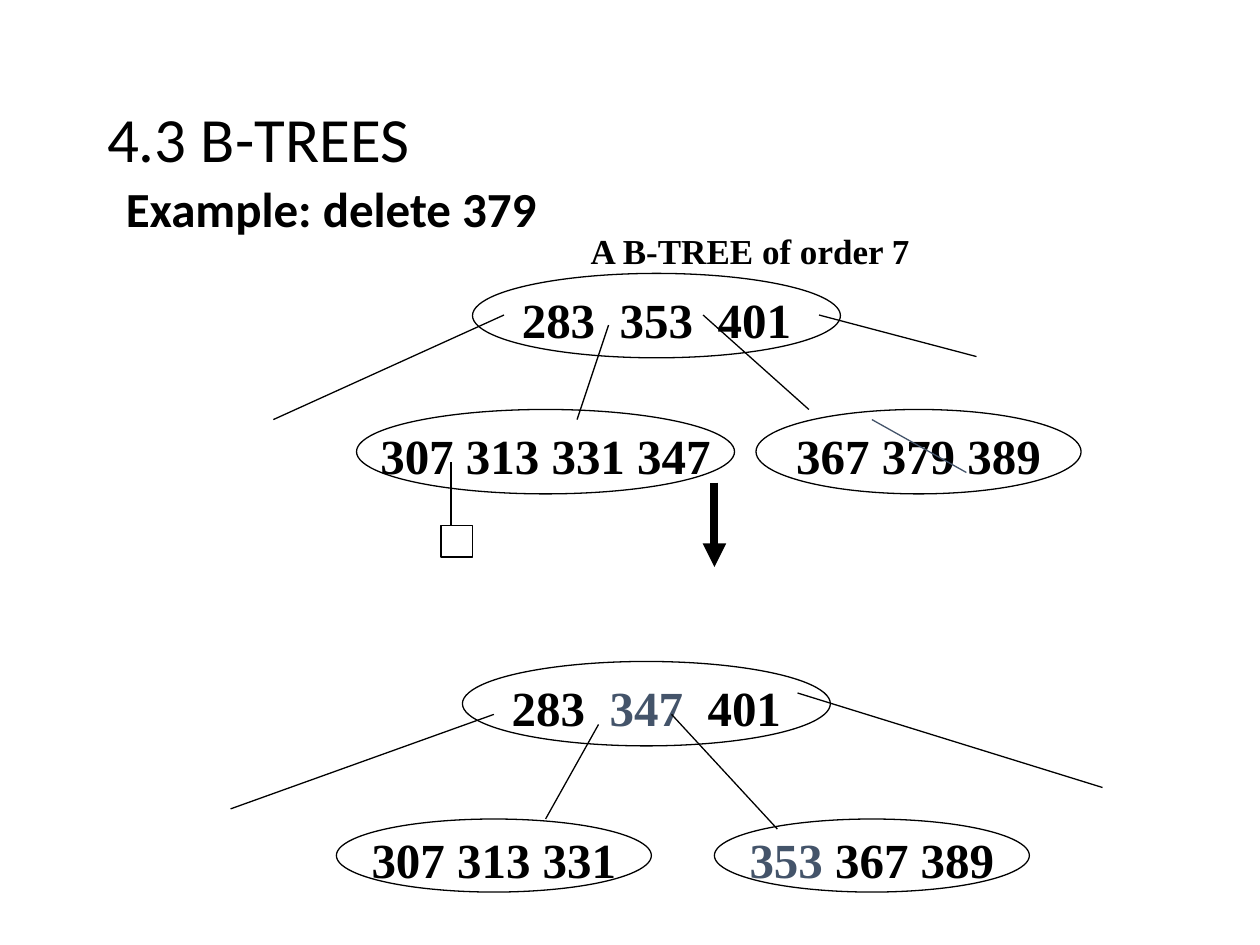
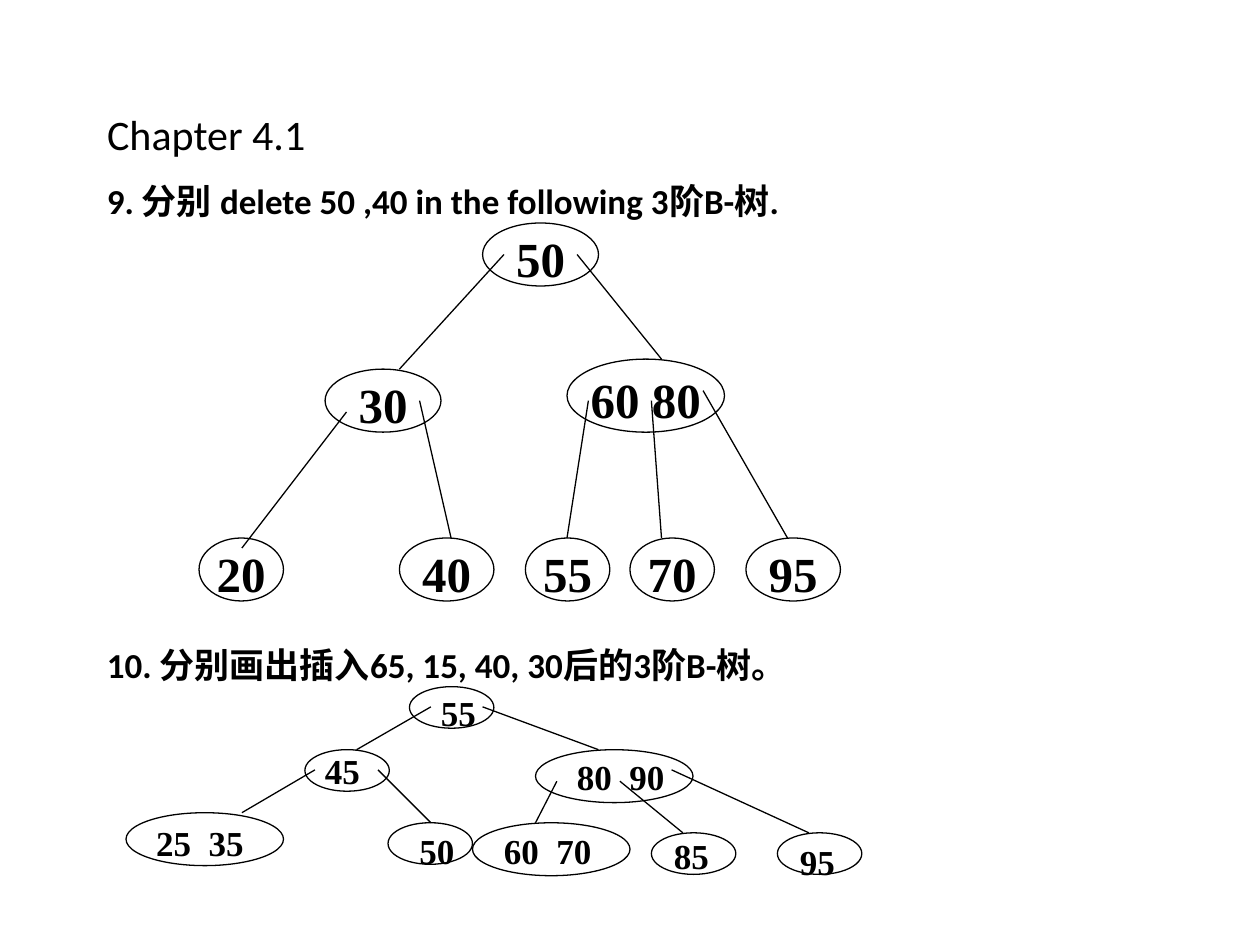
from lxml.etree import SubElement
from pptx import Presentation
from pptx.dml.color import RGBColor
from pptx.enum.shapes import MSO_CONNECTOR as Connector, MSO_SHAPE as Preset
from pptx.enum.text import MSO_ANCHOR as Anchor, MSO_AUTO_SIZE as AutoSize, PP_ALIGN as Align
from pptx.oxml.ns import qn
from pptx.util import Inches, Pt

COLOURS = {"ink": "000000", "changed": "44546A"}
HEADING_FONT = "Calibri"
KEY_FONT = "Times New Roman"
TITLE_ONLY = 5


class TreeDeck:
    def __init__(self):
        self.presentation = Presentation()
        self.presentation.slide_width = Inches(10)
        self.presentation.slide_height = Inches(7.5)
        self.slide = None

    def colour(self, name):
        return RGBColor.from_string(COLOURS[name])

    def add_run(self, paragraph, text, size, font, bold=True, colour="ink"):
        run = paragraph.add_run()
        run.text = text
        run.font.size = Pt(size)
        run.font.name = font
        run.font.bold = bold
        run.font.color.rgb = self.colour(colour)
        return run

    def add_keys(self, paragraph, keys, size, wide, changed=""):
        for index, key in enumerate(keys.split()):
            if index:
                space = self.add_run(paragraph, " ", size, KEY_FONT)
                if wide:
                    space.font._element.set("spc", str(size * 25))
            colour = "changed" if key == changed else "ink"
            self.add_run(paragraph, key, size, KEY_FONT, colour=colour)

    def start_slide(self, title, size, height):
        layout = self.presentation.slide_layouts[TITLE_ONLY]
        self.slide = self.presentation.slides.add_slide(layout)
        shape = self.slide.shapes.title
        shape.left, shape.top = Inches(0.75), Inches(0.67)
        shape.width, shape.height = Inches(8.5), Inches(height)
        frame = shape.text_frame
        frame.vertical_anchor = Anchor.MIDDLE
        frame.auto_size = AutoSize.NONE
        paragraph = frame.paragraphs[0]
        paragraph.alignment = Align.LEFT
        paragraph.line_spacing = 0.9
        self.add_run(paragraph, title, size, HEADING_FONT, bold=False)

    def headings(self, texts, size, left, top, width, height, gap=0):
        box = self.slide.shapes.add_textbox(
            Inches(left), Inches(top), Inches(width), Inches(height))
        frame = box.text_frame
        frame.word_wrap = True
        for index, text in enumerate(texts):
            paragraph = frame.add_paragraph() if index else frame.paragraphs[0]
            paragraph.line_spacing = 0.9
            if index:
                paragraph.space_before = Pt(gap)
            self.add_run(paragraph, text, size, HEADING_FONT)

    def outline(self, preset, left, top, width, height):
        shape = self.slide.shapes.add_shape(
            preset, Inches(left), Inches(top), Inches(width), Inches(height))
        shape.shadow.inherit = False
        shape.fill.background()
        shape.line.color.rgb = self.colour("ink")
        shape.line.width = Pt(0.75)
        return shape

    def node(self, keys, left, top, width, height, wide=False, changed=""):
        frame = self.outline(Preset.OVAL, left, top, width, height).text_frame
        frame.word_wrap = False
        frame.vertical_anchor = Anchor.MIDDLE
        frame.margin_top = Inches(0.1)
        paragraph = frame.paragraphs[0]
        paragraph.alignment = Align.CENTER
        self.add_keys(paragraph, keys, 28, wide, changed)

    def label(self, keys, left, top, width, wide=True):
        box = self.slide.shapes.add_textbox(
            Inches(left), Inches(top), Inches(width), Inches(0.44))
        frame = box.text_frame
        frame.word_wrap = False
        frame.auto_size = AutoSize.SHAPE_TO_FIT_TEXT
        frame.margin_top = Inches(0.07)
        self.add_keys(frame.paragraphs[0], keys, 20, wide)

    def line(self, x1, y1, x2, y2, colour="ink", width=0.75, arrow=False):
        connector = self.slide.shapes.add_connector(
            Connector.STRAIGHT, Inches(x1), Inches(y1), Inches(x2), Inches(y2))
        connector.line.color.rgb = self.colour(colour)
        connector.line.width = Pt(width)
        if arrow:
            SubElement(connector.line._get_or_add_ln(), qn("a:tailEnd"), type="triangle")
        SubElement(connector._element.spPr, qn("a:effectLst"))

    def branches(self, ends):
        for end in ends:
            self.line(*end)


def build_deletion(deck):
    deck.start_slide("4.3 B-TREES", 36, 0.92)
    deck.headings(["Example: delete 379"], 28, 0.9, 1.42, 8.43, 4.5)

    deck.node("283 353 401", 3.75, 2.17, 2.92, 0.67, wide=True)
    deck.node("307 313 331 347", 2.83, 3.25, 3, 0.67)
    deck.node("367 379 389", 6, 3.25, 2.58, 0.67)
    deck.branches([
        (4, 2.5, 2.17, 3.33),
        (4.83, 2.58, 4.58, 3.33),
        (5.58, 2.5, 6.42, 3.25),
        (6.5, 2.5, 7.75, 2.83),
        (3.58, 3.67, 3.58, 4.17),
    ])
    deck.outline(Preset.RECTANGLE, 3.5, 4.17, 0.25, 0.25)
    deck.line(5.67, 3.83, 5.67, 4.5, width=4.5, arrow=True)
    deck.line(6.92, 3.33, 7.67, 3.75, colour="changed")

    deck.node("283 347 401", 3.67, 5.25, 2.92, 0.67, wide=True, changed="347")
    deck.node("307 313 331", 2.67, 6.5, 2.5, 0.58)
    deck.node("353 367 389", 5.67, 6.5, 2.5, 0.58, changed="353")
    deck.branches([
        (3.92, 5.67, 1.83, 6.42),
        (4.75, 5.75, 4.33, 6.5),
        (5.33, 5.67, 6.17, 6.58),
        (6.33, 5.5, 8.75, 6.25),
    ])
    deck.label("A B-TREE of order 7", 4.59, 1.75, 2.76, wide=False)


def build_exercises(deck):
    deck.start_slide("Chapter 4.1", 24, 0.83)
    deck.headings(
        ["9. 分别 delete 50 ,40 in the following 3阶B-树.",
         "10. 分别画出插入65, 15, 40, 30后的3阶B-树。"],
        20, 0.75, 1.41, 8.5, 5.94, gap=244)

    small, large = (0.67, 0.33), (1.25, 0.42)
    insertion_nodes = [
        ("55", 3.25, 5.45, small, 3.4, 5.42),
        ("45", 2.42, 5.95, small, 2.48, 5.88),
        ("80 90", 4.25, 5.95, large, 4.48, 5.93),
        ("25 35", 1, 6.45, large, 1.14, 6.45),
        ("50", 3.08, 6.53, small, 3.23, 6.51),
        ("60 70", 3.75, 6.53, large, 3.9, 6.51),
        ("85", 5.17, 6.61, small, 5.25, 6.55),
        ("95", 6.17, 6.61, small, 6.25, 6.6),
    ]
    for keys, left, top, size, label_left, label_top in insertion_nodes:
        deck.outline(Preset.OVAL, left, top, *size)
        deck.label(keys, label_left, label_top, 0.48 if size is small else 0.9)
    deck.branches([
        (3.42, 5.61, 2.83, 5.95),
        (2.5, 6.11, 1.92, 6.45),
        (4.42, 6.2, 4.25, 6.53),
        (4.92, 6.2, 5.42, 6.61),
        (5.33, 6.11, 6.42, 6.61),
        (3.83, 5.61, 4.75, 5.95),
        (3, 6.11, 3.42, 6.53),
    ])

    deck.node("50", 3.83, 1.77, 0.92, 0.5)
    deck.node("30", 2.58, 2.93, 0.92, 0.5)
    deck.node("60 80", 4.5, 2.85, 1.25, 0.58)
    leaves = [("20", 1.58, 0.67), ("40", 3.17, 0.75), ("55", 4.17, 0.67),
              ("70", 5, 0.67), ("95", 5.92, 0.75)]
    for key, left, width in leaves:
        deck.node(key, left, 4.27, width, 0.5)
    deck.branches([
        (4, 2.02, 3.17, 2.93),
        (4.58, 2.02, 5.25, 2.85),
        (2.75, 3.27, 1.92, 4.35),
        (3.33, 3.18, 3.58, 4.27),
        (4.67, 3.18, 4.5, 4.27),
        (5.17, 3.18, 5.25, 4.27),
        (5.58, 3.1, 6.25, 4.27),
    ])


def main():
    deck = TreeDeck()
    build_deletion(deck)
    build_exercises(deck)
    deck.presentation.save("out.pptx")


if __name__ == "__main__":
    main()
